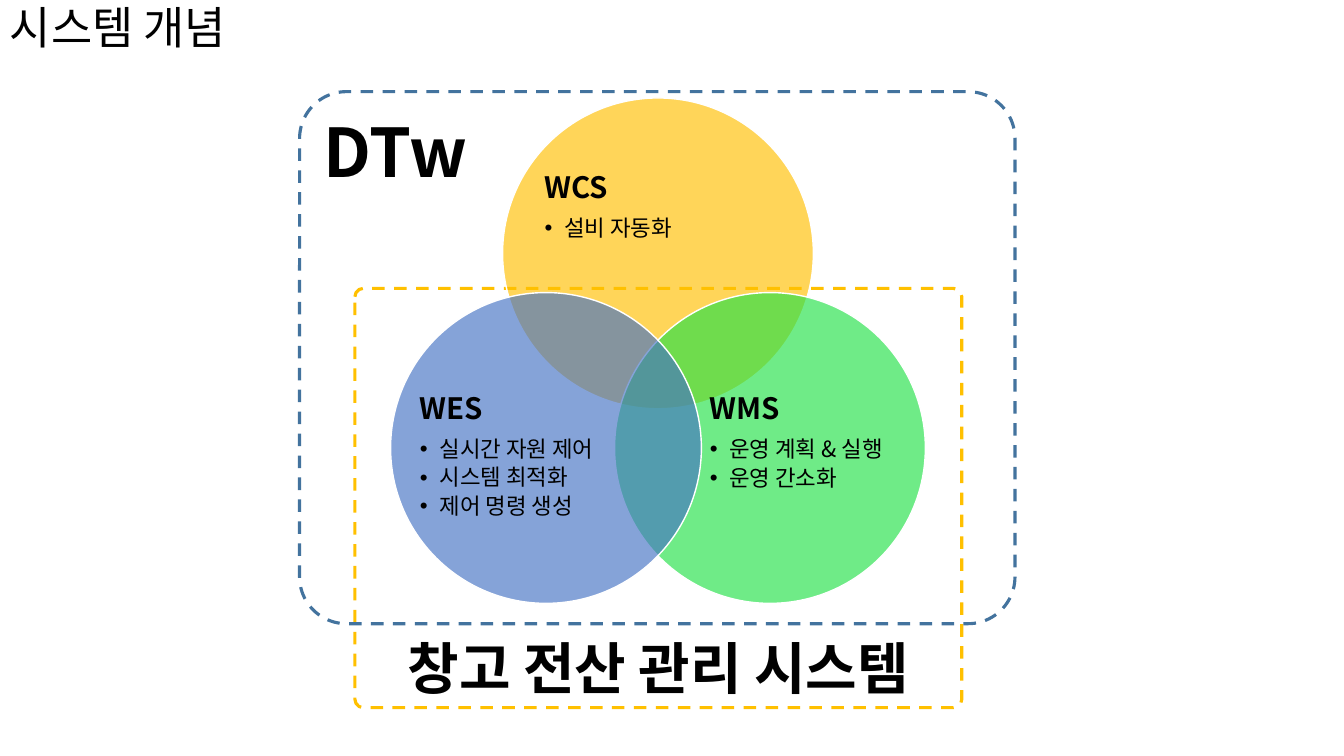
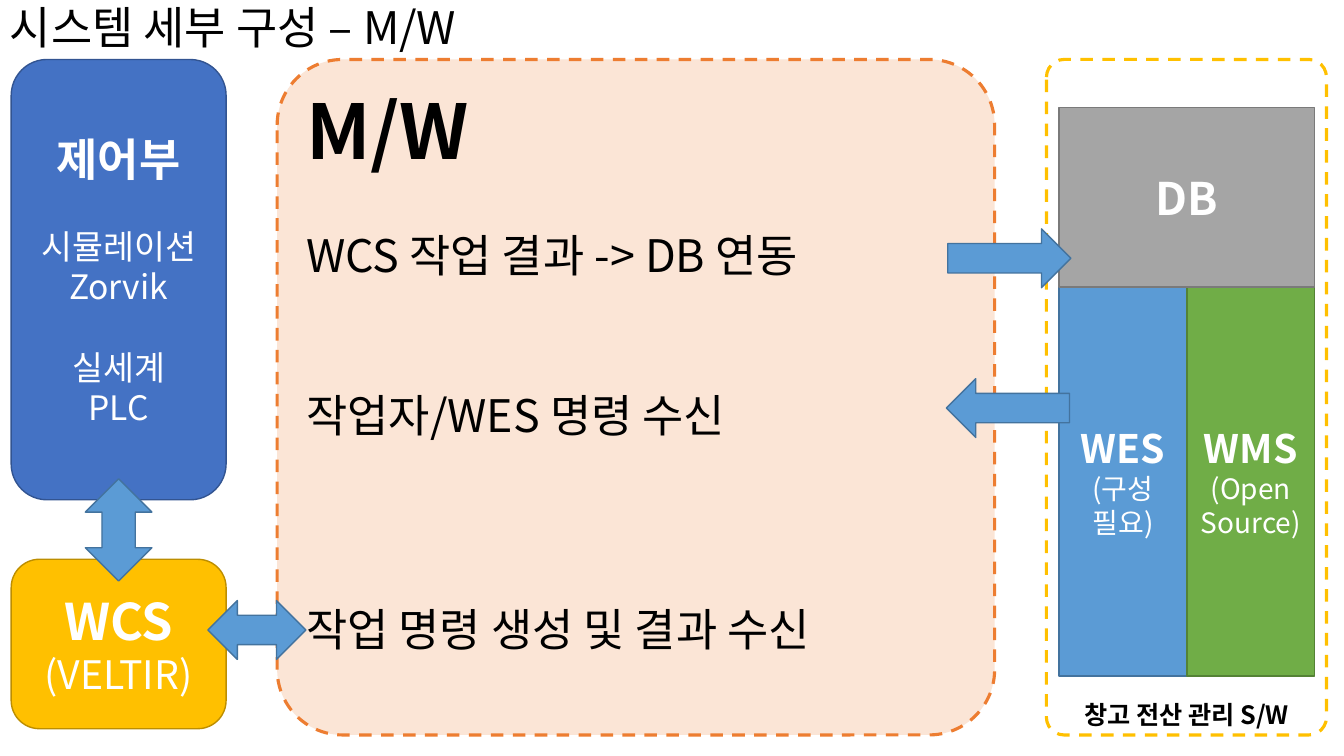
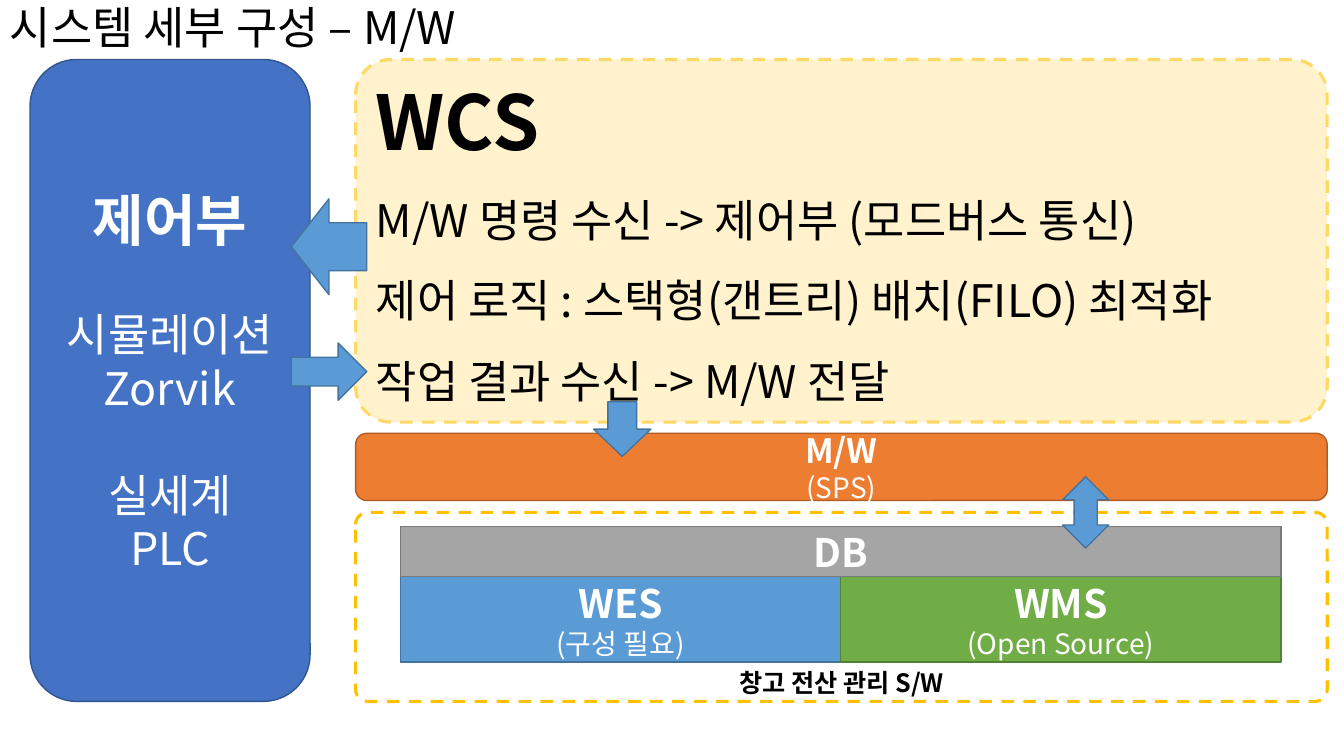
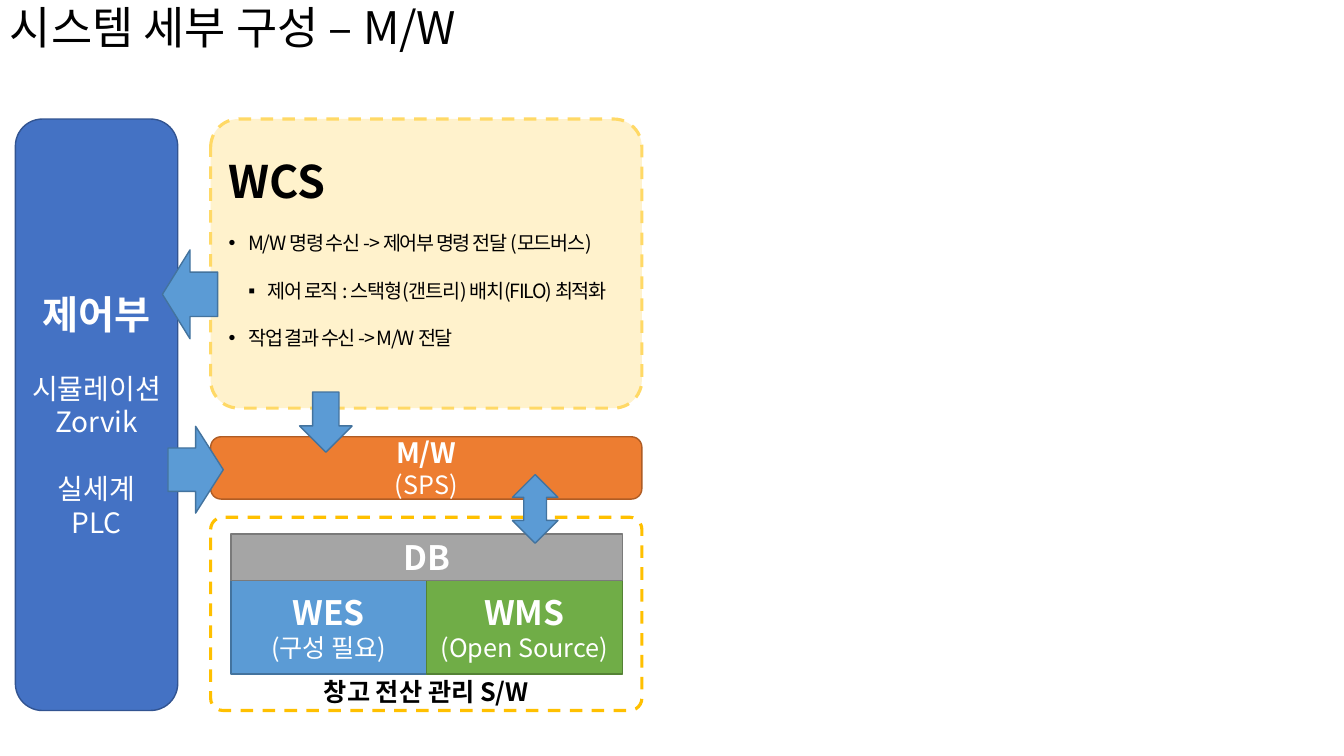
from pptx import Presentation
from pptx.dml.color import RGBColor as Rgb
from pptx.enum.dml import MSO_LINE as Dash
from pptx.enum.shapes import MSO_SHAPE as Geo
from pptx.enum.text import MSO_ANCHOR as Anc, PP_ALIGN as Al
from pptx.oxml.ns import qn
from pptx.util import Pt
from lxml.etree import SubElement as Sub

FACE = "Noto Sans CJK KR"
LINE = 1.19  # height of a text line, in font sizes

BLACK, WHITE = Rgb(0, 0, 0), Rgb(255, 255, 255)
BLUE, NAVY = Rgb(0x44, 0x72, 0xC4), Rgb(0x32, 0x54, 0x91)
SKY, STEEL = Rgb(0x5B, 0x9B, 0xD5), Rgb(0x43, 0x73, 0x9E)
GOLD, OCHRE = Rgb(0xFF, 0xC0, 0), Rgb(0xBD, 0x8E, 0)
CREAM, SAND = Rgb(0xFF, 0xF2, 0xCC), Rgb(0xFF, 0xD9, 0x66)
ORANGE, RUST = Rgb(0xED, 0x7D, 0x31), Rgb(0xAF, 0x5C, 0x24)
PEACH, LIME = Rgb(0xFB, 0xE5, 0xD6), Rgb(0x23, 0xE1, 0x48)
GREEN, MOSS = Rgb(0x70, 0xAD, 0x47), Rgb(0x54, 0x82, 0x35)
GREY, SLATE = Rgb(0xA5, 0xA5, 0xA5), Rgb(0x7A, 0x7A, 0x7A)

# Content: places are (left, top, width, height) in points
CONCEPT = "시스템 개념"
DETAIL = "시스템 세부 구성 – M/W"
NOTE = "창고 전산 관리 S/W"

# circle left and top, colour, text place, space below, head, points
VENN = [
    ((359, 70), GOLD, (389, 108.5, 162, 99.5), 20, "WCS", ["설비 자동화"]),
    ((439, 209), LIME, (507, 265.5, 132.5, 121.5), 20, "WMS",
     ["운영 계획 & 실행", "운영 간소화"]),
    ((279, 209), BLUE, (300, 265.5, 132.5, 121.5), 0, "WES",
     ["실시간 자원 제어", "시스템 최적화", "제어 명령 생성"]),
]
# text, blank lines above
LINK = [("WCS 작업 결과 -> DB 연동", 1), ("작업자/WES 명령 수신", 2),
        ("작업 명령 생성 및 결과 수신", 3)]
FLOW = ["M/W 명령 수신 -> 제어부 (모드버스 통신)",
        "제어 로직 : 스택형(갠트리) 배치(FILO) 최적화",
        "작업 결과 수신 -> M/W 전달"]
# text, bullet, left indent
STEPS = [("M/W 명령 수신 -> 제어부 명령 전달 (모드버스)", "•", 14),
         ("제어 로직 : 스택형(갠트리) 배치(FILO) 최적화", "▪", 28),
         ("작업 결과 수신 -> M/W 전달", "•", 14)]
ARROWS = {
    2: [(Geo.LEFT_RIGHT_ARROW, (148.5, 429, 70, 42)),
        (Geo.LEFT_ARROW, (676, 270.5, 88, 42)),
        (Geo.RIGHT_ARROW, (677, 163.5, 88, 42)),
        (Geo.UP_DOWN_ARROW, (61, 342, 47.5, 73))],
    3: [(Geo.LEFT_ARROW, (208, 142, 54, 68.5)),
        (Geo.RIGHT_ARROW, (208, 245, 54, 41)),
        (Geo.DOWN_ARROW, (424, 287, 41, 39)),
        (Geo.UP_DOWN_ARROW, (759, 340.5, 33, 51))],
    4: [(Geo.DOWN_ARROW, (214, 280, 37.5, 43)),
        (Geo.UP_DOWN_ARROW, (366, 339, 32.5, 49)),
        (Geo.LEFT_ARROW, (116, 178.5, 39.5, 63.5)),
        (Geo.RIGHT_ARROW, (120, 304.5, 39.5, 62))],
}


# Text
def row(text, size, bold=False, bullet=None, left=0, track=0, **form):
    return dict(text=text, size=size, bold=bold, bullet=bullet, left=left,
                track=track, form=form)


def write(shape, rows, color=BLACK, anchor=Anc.TOP, pad=(7.2, 3.6, 7.2, 3.6)):
    frame = shape.text_frame
    sides = ("margin_left", "margin_top", "margin_right", "margin_bottom")
    look = dict(zip(sides, map(Pt, pad)), word_wrap=True,
                vertical_anchor=anchor)
    for key, val in look.items():
        setattr(frame, key, val)
    for num, item in enumerate(rows):
        para = frame.paragraphs[0] if num == 0 else frame.add_paragraph()
        for key, val in ({"alignment": Al.LEFT} | item["form"]).items():
            setattr(para, key, val)
        if item["bullet"]:
            props = para._p.get_or_add_pPr()
            props.set("marL", str(Pt(item["left"])))
            props.set("indent", str(Pt(-14)))
            Sub(props, qn("a:buFont"), typeface="Arial")
            Sub(props, qn("a:buChar"), char=item["bullet"])
        run = para.add_run()
        run.text = item["text"]
        for key, val in dict(name=FACE, size=Pt(item["size"]),
                             bold=item["bold"]).items():
            setattr(run.font, key, val)
        run.font.color.rgb = color
        props = run._r.get_or_add_rPr()
        Sub(props, qn("a:ea"), typeface=FACE)
        if item["track"]:
            props.set("spc", str(item["track"] * 100))


def mid(text, size, bold=False, **form):
    return row(text, size, bold, alignment=Al.CENTER, **form)


# Shapes
def draw(slide, geo, at, fill, edge, adj=None, dash=False, alpha=None):
    shape = slide.shapes.add_shape(geo, *map(Pt, at))
    shape.shadow.inherit = False
    if adj is not None:
        shape.adjustments[0] = adj
    if fill is None:
        shape.fill.background()
    else:
        shape.fill.solid()
        shape.fill.fore_color.rgb = fill
    if alpha:
        tint = shape.fill._xPr.find(qn("a:solidFill"))[0]
        Sub(tint, qn("a:alpha"), val=str(alpha * 1000))
    shape.line.color.rgb = edge
    shape.line.width = Pt(2.25 if dash else 1)
    if dash:
        shape.line.dash_style = Dash.DASH
    return shape


def panel(slide, at, fill, edge, adj, rows, **text):
    write(draw(slide, Geo.ROUNDED_RECTANGLE, at, fill, edge, adj, True),
          rows, **text)


def block(slide, at, fill, edge, rows, adj=None, **text):
    write(draw(slide, Geo.ROUNDED_RECTANGLE, at, fill, edge, adj),
          rows, WHITE, Anc.MIDDLE, **text)


def label(slide, at, rows, **text):
    write(slide.shapes.add_textbox(*map(Pt, at)), rows, anchor=Anc.MIDDLE,
          **text)


# Parts that several slides share
def start(deck, title):
    slide = deck.slides.add_slide(deck.slide_layouts[6])
    label(slide, (0, 0, 428.5, 42.5), [row(title, 32, line_spacing=0.9)])
    return slide


def control(slide, at, big, small, **text):
    gap = Pt(round(small * LINE, 1))
    rows = [mid("제어부", big, True),
            mid("시뮬레이션 Zorvik", small, space_before=gap),
            mid("실세계", small, space_before=gap),
            mid("PLC", small)]
    block(slide, at, BLUE, NAVY, rows, **text)


def store(slide, frame, body, cap, top, head, sub):
    """Dashed frame with DB above WES and WMS; cap is the DB height."""
    panel(slide, frame, None, GOLD, 0.063, [mid(NOTE, 18, True)],
          anchor=Anc.BOTTOM, pad=(7.2, 3.6, 7.2, 0))
    left, y, wide, high = body
    half = wide / 2
    pair = [("WES", "(구성 필요)", SKY, STEEL),
            ("WMS", "(Open Source)", GREEN, MOSS)]
    for num, (name, more, fill, edge) in enumerate(pair):
        block(slide, (left + num * half, y + cap, half, high - cap), fill,
              edge, [mid(name, head, True), mid(more, sub)], 0)
    block(slide, (left, y, wide, cap), GREY, SLATE, [mid("DB", top, True)], 0)


def middle(slide, at, big, small):
    block(slide, at, ORANGE, RUST, [mid("M/W", big, True), mid("(SPS)", small)])


def arrows(slide, num):
    for geo, at in ARROWS[num]:
        draw(slide, geo, at, SKY, STEEL)


# Slides
def concept(deck):
    slide = start(deck, CONCEPT)
    panel(slide, (253.5, 206, 433.5, 299.5), None, GOLD, 0.02,
          [mid("창고 전산 관리 시스템", 40, True)], anchor=Anc.BOTTOM)
    panel(slide, (214, 65.5, 511, 380), None, STEEL, 0.088,
          [row("DTw", 48, True)])
    for spot, fill, at, below, head, points in VENN:
        draw(slide, Geo.OVAL, (*spot, 222, 222), fill, WHITE, alpha=65)
        rows = [row(head, 21, True, line_spacing=0.9, space_after=Pt(8.8))]
        rows += [row(text, 16, bullet="•", left=14, line_spacing=0.9,
                     space_after=Pt(2.9)) for text in points]
        label(slide, at, rows, pad=(0, 0, 0, below))


def links(deck):
    slide = start(deck, DETAIL)
    rows = [row("M/W", 54, True)]
    rows += [row(text, 32, space_before=Pt(round(gap * 32 * LINE, 1)))
             for text, gap in LINK]
    panel(slide, (198, 42.5, 512.5, 482.5), PEACH, ORANGE, 0.097, rows)
    control(slide, (8, 42.5, 153.5, 314.5), 32, 24)
    block(slide, (8, 399.5, 153.5, 121), GOLD, OCHRE,
          [mid("WCS", 36, True), mid("(VELTIR)", 28)])
    store(slide, (747.5, 42.5, 200, 482.5), (756.5, 77, 182.5, 406), 128,
          32, 28, 20)
    arrows(slide, 2)


def flow(deck):
    slide = start(deck, DETAIL)
    rows = [row("WCS", 54, True)]
    rows += [row(text, 32, line_spacing=1.5) for text in FLOW]
    panel(slide, (254, 42.5, 694, 259), CREAM, SAND, 0.097, rows)
    control(slide, (21.5, 42.5, 200, 458.5), 40, 32)
    middle(slide, (254, 309.5, 694, 48), 24, 20)
    store(slide, (254, 366, 694, 135), (286, 376, 629, 97), 36, 28, 28, 20)
    arrows(slide, 3)


def steps(deck):
    slide = start(deck, DETAIL)
    rows = [row("WCS", 32, True, line_spacing=1.5)]
    rows += [row(text, 14, bullet=mark, left=left, track=-1, line_spacing=2.0)
             for text, mark, left in STEPS]
    panel(slide, (150.5, 85, 308, 206.5), CREAM, SAND, 0.097, rows,
          pad=(7.2, 0, 0, 0))
    middle(slide, (150.5, 312, 308, 44.5), 20, 18)
    store(slide, (150.5, 369.5, 308, 138), (165, 381.5, 279.5, 100), 33,
          24, 24, 18)
    control(slide, (11, 85, 116, 422.5), 28, 20, pad=(0, 0, 0, 0))
    arrows(slide, 4)


def main():
    deck = Presentation()
    deck.slide_width, deck.slide_height = Pt(960), Pt(540)
    for build in (concept, links, flow, steps):
        build(deck)
    deck.save("out.pptx")


if __name__ == "__main__":
    main()
